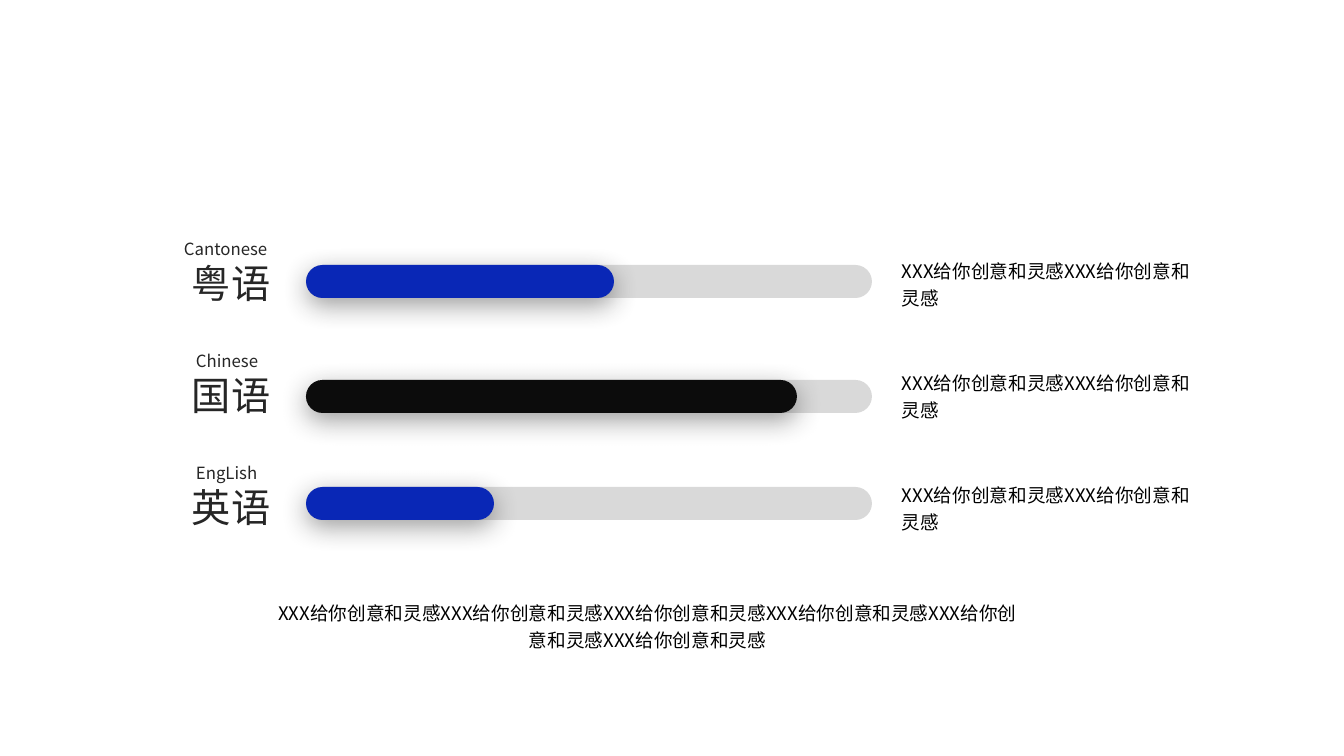
import pptx
import pptx.util
import pptx.dml.color
import pptx.enum.shapes
import pptx.enum.text
import pptx.oxml
import pptx.oxml.ns
from lxml import etree

SLOGAN = "XXX给你创意和灵感"
FONT = "Noto Sans CJK SC"
COLORS = {"label": "262626", "body": "000000", "track": "D9D9D9",
          "blue": "0927B6", "black": "0C0C0C"}
# name, caption, caption left, caption width, bar top, bar length, bar colour
LANGUAGES = [
    ("粤语", "Cantonese", 174, 106, 265, 308, "blue"),
    ("国语", "Chinese", 186, 84, 380, 491, "black"),
    ("英语", "EngLish", 186, 83, 487, 188, "blue"),
]
SLIDE_W, SLIDE_H = 1344, 756
ROW_TOP, ROW_PITCH = 234, 112
BAR_LEFT, BAR_H, TRACK_W = 306, 33, 566
EMU_PER_PX = 914400 / 100.8

SHADOW = """<a:effectLst xmlns:a="http://schemas.openxmlformats.org/drawingml/2006/main">
<a:outerShdw blurRad="241300" dist="63500" dir="5400000" algn="t" rotWithShape="0">
<a:srgbClr val="262626"><a:alpha val="43000"/></a:srgbClr></a:outerShdw></a:effectLst>"""


def px(*lengths):
    return [round(n * EMU_PER_PX) for n in lengths]


def color(name):
    return pptx.dml.color.RGBColor.from_string(COLORS[name])


def add_text(s, box, text, size, ink, wrap=False, centered=False):
    tf = s.shapes.add_textbox(*px(*box)).text_frame
    tf.word_wrap = wrap
    p = tf.paragraphs[0]
    if wrap:
        p.line_spacing = 1.2
    if centered:
        p.alignment = pptx.enum.text.PP_ALIGN.CENTER
    r = p.add_run()
    r.text = text
    r.font.size = pptx.util.Pt(size)
    r.font.color.rgb = color(ink)
    r.font.name = FONT
    ea = etree.SubElement(r.font._element, pptx.oxml.ns.qn("a:ea"))
    ea.set("typeface", FONT)


def add_bar(s, top, length, fill, shadow=False):
    sp = s.shapes.add_shape(pptx.enum.shapes.MSO_SHAPE.ROUNDED_RECTANGLE,
                            *px(BAR_LEFT, top, length, BAR_H))
    sp.adjustments[0] = 0.5
    sp.fill.solid()
    sp.fill.fore_color.rgb = color(fill)
    sp.line.fill.background()
    if shadow:
        sp._element.spPr.append(pptx.oxml.parse_xml(SHADOW))
    else:
        sp.shadow.inherit = False


def main():
    prs = pptx.Presentation()
    prs.slide_width, prs.slide_height = px(SLIDE_W, SLIDE_H)
    s = prs.slides.add_slide(prs.slide_layouts[6])
    for i, (name, caption, left, width, bar_top, length, fill) in enumerate(LANGUAGES):
        top = ROW_TOP + i * ROW_PITCH
        add_text(s, (182, top + 20, 100, 57), name, 28, "label")
        add_text(s, (left, top, width, 30), caption, 12, "label")
        add_text(s, (892, top + 17, 323, 65), SLOGAN * 2, 13.3, "body", wrap=True)
        add_bar(s, bar_top, TRACK_W, "track")
        add_bar(s, bar_top, length, fill, shadow=True)
    add_text(s, (267, 593, 761, 152), SLOGAN * 6, 13.3, "body", wrap=True, centered=True)
    prs.save("out.pptx")


if __name__ == "__main__":
    main()
